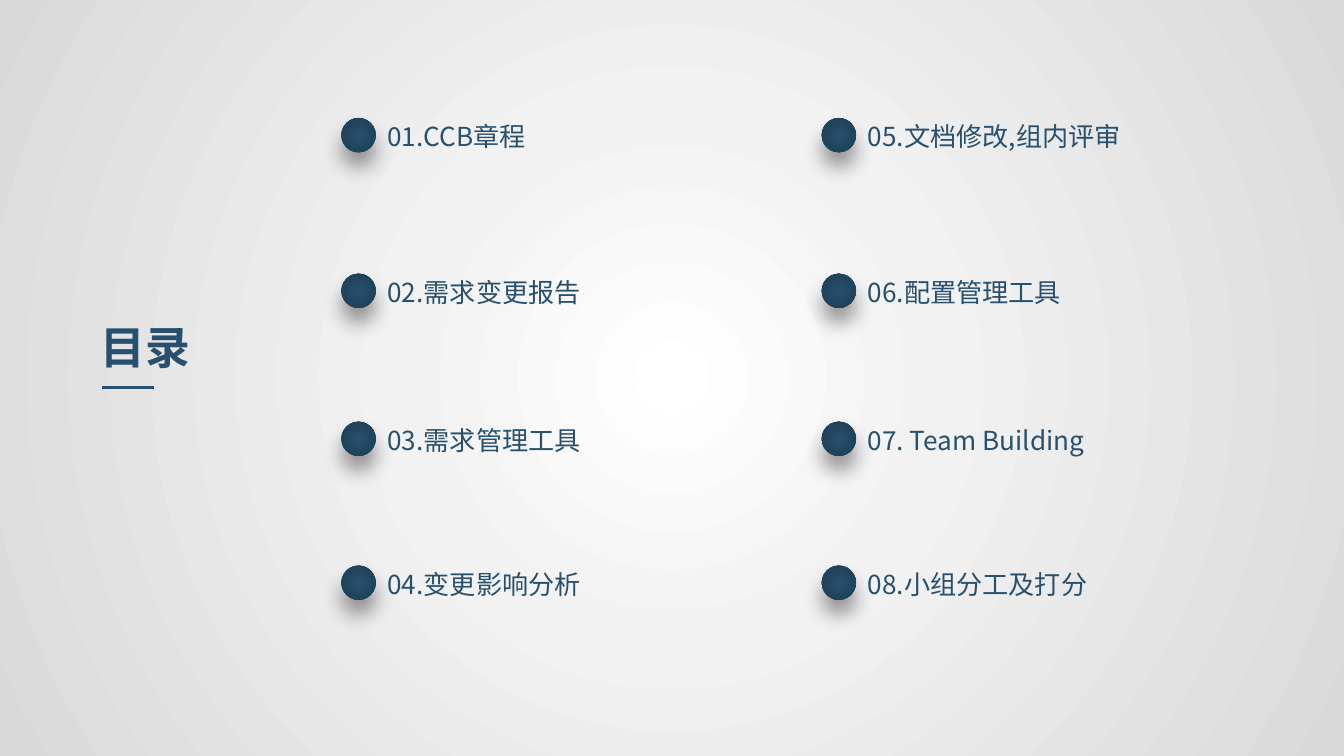
import pptx
import pptx.util
import pptx.dml.color
import pptx.enum.shapes
import pptx.enum.text
import pptx.oxml.ns
import lxml.etree

Pt = pptx.util.Pt
qn = pptx.oxml.ns.qn

FONT = "Noto Sans CJK SC"
COLORS = {
    "navy": "27506E",
    "navy_dark": "1D3C52",
    "white": "FFFFFF",
    "pale": "F2F2F2",
    "grey": "D9D9D9",
    "shadow": "000000",
}

DOT_SIZE = 18.4
ENTRY_DX, ENTRY_DY, ENTRY_HEIGHT = 17.6, -2, 24.3
ROW_TOPS = [63.2, 146.6, 225.9, 303]

# Each column: left edge of its dots, then (entry, text width)
COLUMNS = [
    (182.9, [("01.CCB章程", 90), ("02.需求变更报告", 119.5),
             ("03.需求管理工具", 119.5), ("04.变更影响分析", 119.5)]),
    (440.2, [("05.文档修改,组内评审", 151.2), ("06.配置管理工具", 119.5),
             ("07. Team Building", 134.6), ("08.小组分工及打分", 133.9)]),
]


def rgb(name):
    return pptx.dml.color.RGBColor.from_string(COLORS[name])


def add_xml(parent, tag, **attributes):
    child = lxml.etree.SubElement(parent, qn(tag))
    for key, value in attributes.items():
        child.set(key, str(value))
    return child


def set_radial_gradient(fill, owner, stops):
    """Fill from the centre outwards; stops are (percent, colour name)."""
    fill.gradient()
    gradient = owner.find(".//" + qn("a:gradFill"))
    for child in list(gradient):
        gradient.remove(child)
    stop_list = add_xml(gradient, "a:gsLst")
    for percent, name in stops:
        stop = add_xml(stop_list, "a:gs", pos=percent * 1000)
        add_xml(stop, "a:srgbClr", val=COLORS[name])
    circle = add_xml(gradient, "a:path", path="circle")
    add_xml(circle, "a:fillToRect", l=50000, t=50000, r=50000, b=50000)


def write_text(shape, text, size, bold=False, align=None):
    frame = shape.text_frame
    frame.text = text
    frame.word_wrap = True
    frame.auto_size = pptx.enum.text.MSO_AUTO_SIZE.SHAPE_TO_FIT_TEXT
    frame.vertical_anchor = pptx.enum.text.MSO_ANCHOR.TOP
    paragraph = frame.paragraphs[0]
    paragraph.alignment = align
    font = paragraph.font
    font.size = Pt(size)
    font.bold = bold
    font.color.rgb = rgb("navy")
    font.name = FONT
    # East Asian glyphs take their own typeface
    latin = shape.element.find(".//" + qn("a:latin"))
    add_xml(latin.getparent(), "a:ea", typeface=FONT)


def add_heading(slide, text):
    heading = slide.shapes.title
    heading.left, heading.top = Pt(46.1), Pt(167.8)
    heading.width, heading.height = Pt(63.4), Pt(36)
    write_text(heading, text, 24, True, pptx.enum.text.PP_ALIGN.CENTER)


def add_underline(slide, left, right, y):
    underline = slide.shapes.add_connector(
        pptx.enum.shapes.MSO_CONNECTOR.STRAIGHT, Pt(left), Pt(y), Pt(right), Pt(y))
    underline.line.color.rgb = rgb("navy")
    underline.line.width = Pt(1.5)
    add_xml(underline.element.spPr, "a:effectLst")


def add_dot(slide, left, top):
    dot = slide.shapes.add_shape(
        pptx.enum.shapes.MSO_SHAPE.OVAL, Pt(left), Pt(top), Pt(DOT_SIZE), Pt(DOT_SIZE))
    set_radial_gradient(dot.fill, dot.element, [(0, "navy"), (100, "navy_dark")])
    dot.line.fill.background()
    # Soft shadow straight below
    dot.shadow.inherit = False
    effects = dot.element.spPr.find(qn("a:effectLst"))
    shadow = add_xml(effects, "a:outerShdw", blurRad=Pt(11), dist=Pt(8),
                     dir=90 * 60000, algn="t", rotWithShape=0)
    color = add_xml(shadow, "a:srgbClr", val=COLORS["shadow"])
    add_xml(color, "a:alpha", val=40000)


def add_entry(slide, left, top, text, width):
    add_dot(slide, left, top)
    entry = slide.shapes.add_textbox(
        Pt(left + ENTRY_DX), Pt(top + ENTRY_DY), Pt(width), Pt(ENTRY_HEIGHT))
    write_text(entry, text, 14)


def main():
    presentation = pptx.Presentation()
    presentation.slide_width, presentation.slide_height = Pt(720), Pt(405)
    slide = presentation.slides.add_slide(
        presentation.slide_layouts.get_by_name("Title Only"))

    # Background
    set_radial_gradient(slide.background.fill, slide.element,
                        [(0, "white"), (35, "pale"), (100, "grey")])

    # Heading
    add_heading(slide, "目录")
    add_underline(slide, 54.7, 82.6, 207.4)

    # Contents in two columns
    for left, entries in COLUMNS:
        for top, (text, width) in zip(ROW_TOPS, entries):
            add_entry(slide, left, top, text, width)

    presentation.save("out.pptx")


if __name__ == "__main__":
    main()
